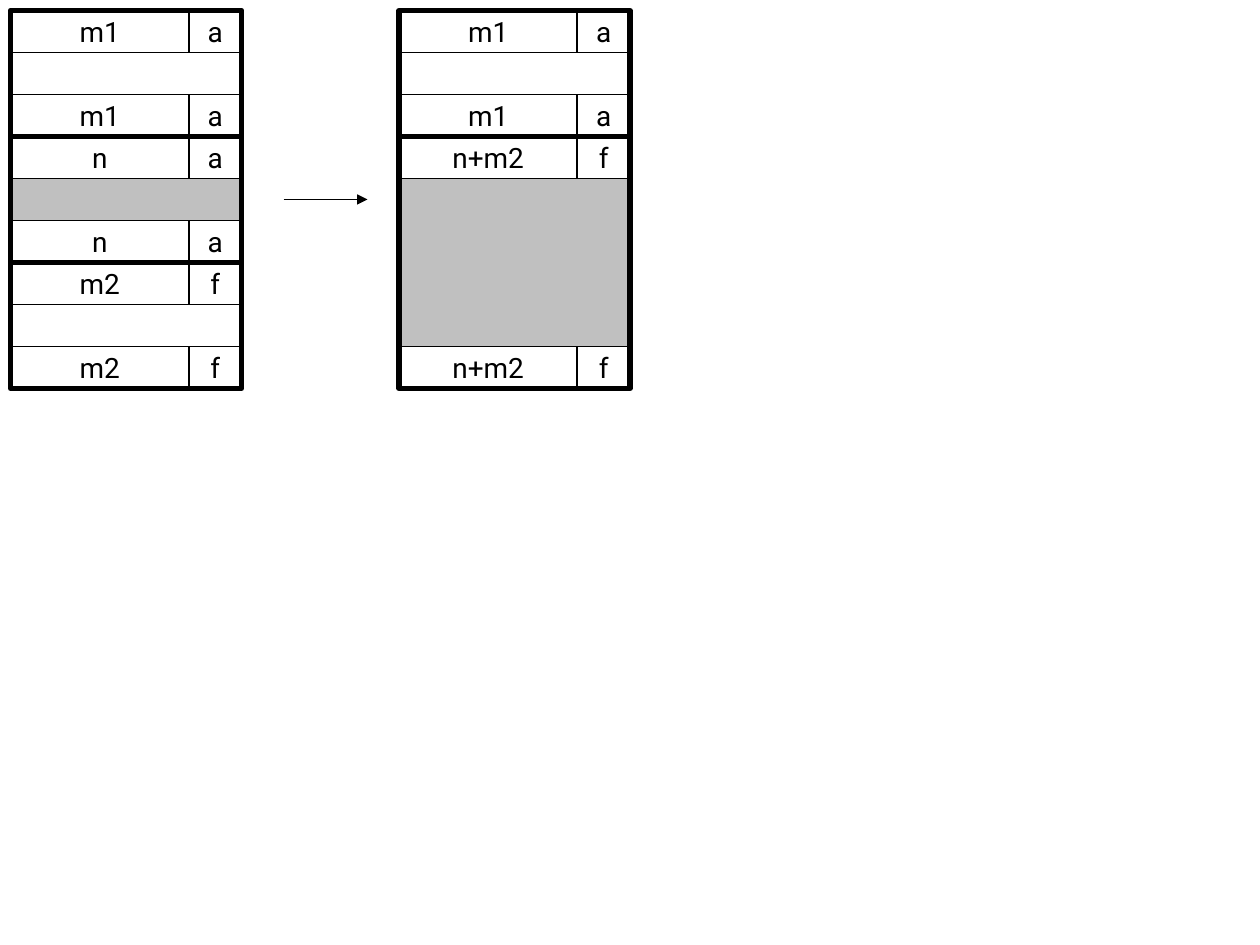
"""Draw how a freed memory block merges with the free block after it."""
from dataclasses import dataclass

from lxml.etree import SubElement
from pptx import Presentation
from pptx.dml.color import RGBColor
from pptx.enum.shapes import MSO_CONNECTOR as Connector
from pptx.enum.shapes import MSO_SHAPE as Shape
from pptx.enum.text import MSO_ANCHOR as Anchor
from pptx.enum.text import PP_ALIGN as Align
from pptx.oxml.ns import qn
from pptx.util import Inches, Pt

PX = Inches(1) // 96
ROW, SIZE_WIDTH, FLAG_WIDTH = 32, 136, 40
BLOCK_WIDTH = SIZE_WIDTH + FLAG_WIDTH
TOP, BEFORE_LEFT, AFTER_LEFT = 8, 8, 304


@dataclass(frozen=True)
class Theme:
    """Colours, font and sizes of the diagram."""
    ink: RGBColor = RGBColor(0, 0, 0)
    paper: RGBColor = RGBColor(255, 255, 255)
    shade: RGBColor = RGBColor(192, 192, 192)
    font: str = "Roboto"
    text: int = 16
    thin: int = 1
    thick: int = 3


def write(box, text, *, font, size, color):
    """Put one centred line of text in a box."""
    frame = box.text_frame
    frame.word_wrap = False
    frame.vertical_anchor = Anchor.MIDDLE
    para = frame.paragraphs[0]
    para.alignment = Align.CENTER
    span = para.add_run()
    span.text = text
    span.font.name = font
    span.font.size = Pt(size)
    span.font.color.rgb = color


class Diagram:
    """Holds the theme and page and draws memory blocks."""

    def __init__(self, page, theme):
        """Keep the page and its theme."""
        self.page = page
        self.theme = theme

    def rect(self, left, top, width, height, fill=None, line=None):
        """Draw an outlined rectangle, hollow when it has no fill."""
        box = self.page.shapes.add_shape(
            Shape.RECTANGLE, left * PX, top * PX, width * PX, height * PX)
        box.shadow.inherit = False
        if fill is None:
            box.fill.background()
        else:
            box.fill.solid()
            box.fill.fore_color.rgb = fill
        box.line.color.rgb = self.theme.ink
        box.line.width = Pt(line or self.theme.thin)
        return box

    def tag(self, left, top, size, flag):
        """Draw a boundary tag: block size and allocation flag."""
        theme = self.theme
        for text, x, width in ((size, left, SIZE_WIDTH),
                               (flag, left + SIZE_WIDTH, FLAG_WIDTH)):
            box = self.rect(x, top, width, ROW, theme.paper)
            write(box, text, font=theme.font, size=theme.text, color=theme.ink)

    def block(self, left, top, rows, size, flag, fill):
        """Draw a block with header, payload, footer and outline."""
        height = rows * ROW
        self.tag(left, top, size, flag)
        self.rect(left, top + ROW, BLOCK_WIDTH, height - 2 * ROW, fill)
        self.tag(left, top + height - ROW, size, flag)
        self.rect(left, top, BLOCK_WIDTH, height, line=self.theme.thick)

    def heap(self, left, blocks):
        """Stack blocks from the top down."""
        top = TOP
        for rows, size, flag, fill in blocks:
            self.block(left, top, rows, size, flag, fill)
            top += rows * ROW

    def arrow(self, left, right, y):
        """Draw a horizontal arrow pointing right."""
        line = self.page.shapes.add_connector(
            Connector.STRAIGHT, left * PX, y * PX, right * PX, y * PX)
        line.line.color.rgb = self.theme.ink
        line.line.width = Pt(self.theme.thin)
        SubElement(line.line._get_or_add_ln(), qn("a:tailEnd"), type="triangle")
        SubElement(line._element.spPr, qn("a:effectLst"))


def main():
    """Build and save the deck."""
    deck = Presentation()
    deck.slide_width, deck.slide_height = 960 * PX, 720 * PX
    theme = Theme()
    diagram = Diagram(deck.slides.add_slide(deck.slide_layouts[6]), theme)
    previous = (3, "m1", "a", theme.paper)
    diagram.heap(BEFORE_LEFT, [previous, (3, "n", "a", theme.shade),
                               (3, "m2", "f", theme.paper)])
    diagram.arrow(216, 280, 152)
    diagram.heap(AFTER_LEFT, [previous, (6, "n+m2", "f", theme.shade)])
    deck.save("out.pptx")


if __name__ == "__main__":
    main()
